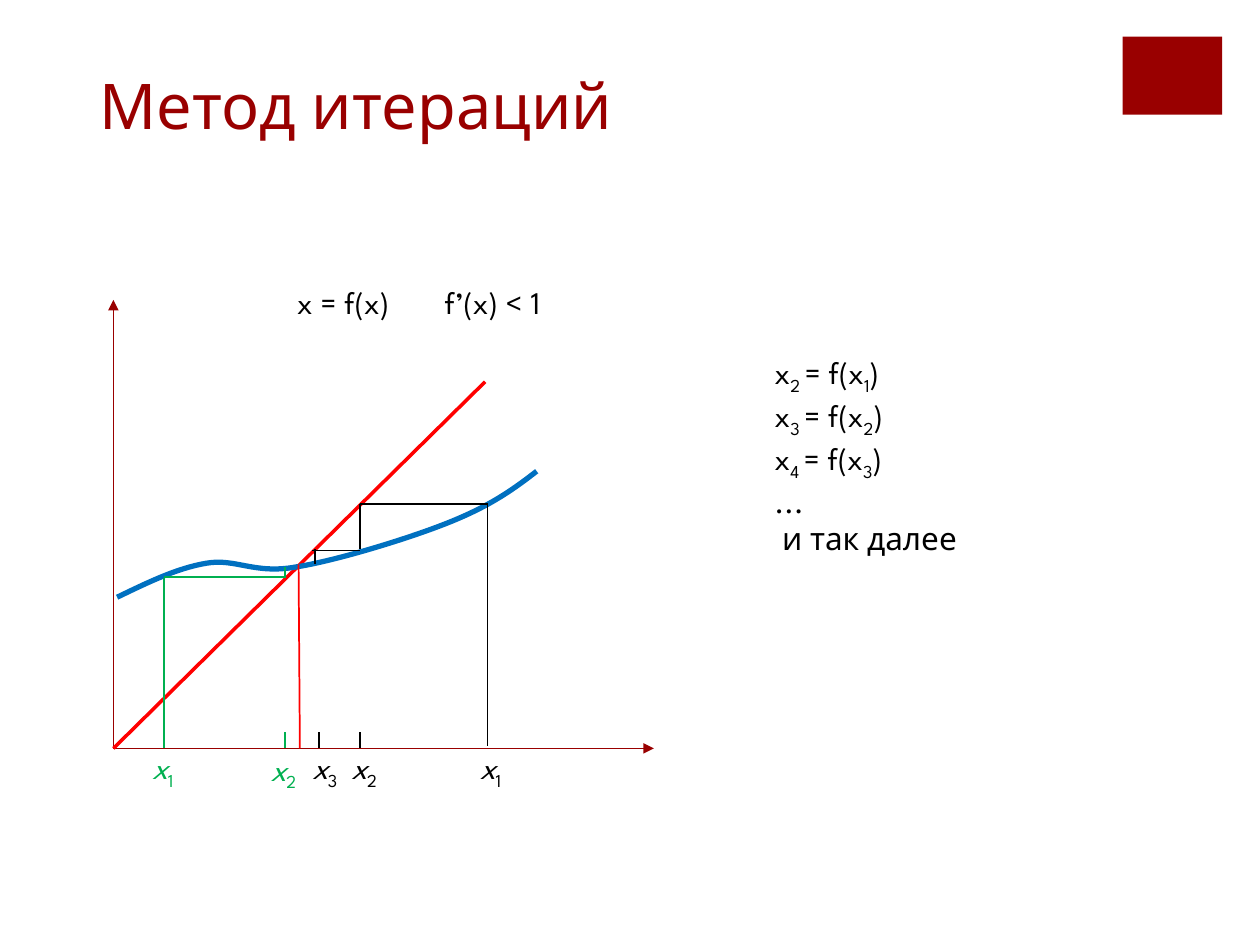
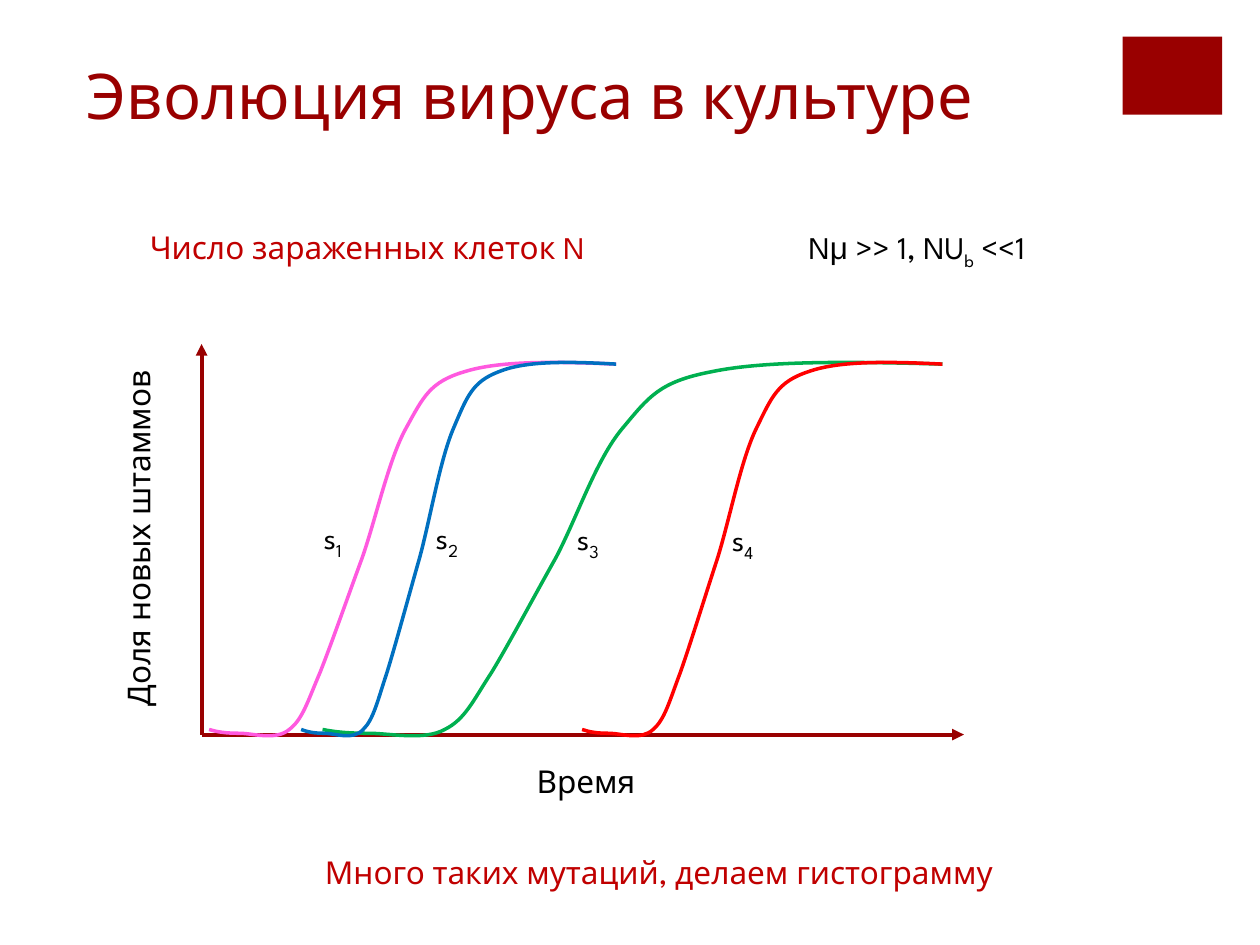
import pptx
import pptx.util
import pptx.dml.color
import pptx.enum.shapes
import pptx.enum.text
import pptx.oxml
import pptx.oxml.ns

Inches = pptx.util.Inches
Pt = pptx.util.Pt
RGBColor = pptx.dml.color.RGBColor
Anchor = pptx.enum.text.MSO_ANCHOR
Align = pptx.enum.text.PP_ALIGN
Fit = pptx.enum.text.MSO_AUTO_SIZE
Kind = pptx.enum.shapes
SPACE = pptx.oxml.ns.nsdecls("a")

DARK = RGBColor(0x99, 0x00, 0x00)
BRICK = RGBColor(0xC0, 0x00, 0x00)
RED = RGBColor(0xFF, 0x00, 0x00)
BLUE = RGBColor(0x00, 0x70, 0xC0)
GREEN = RGBColor(0x00, 0xB0, 0x50)
PINK = RGBColor(0xFF, 0x59, 0xDF)
BLACK = RGBColor(0x00, 0x00, 0x00)

FACE = "League Spartan"
HEAD = {"name": FACE, "size": Pt(36), "bold": False}
BODY = {"name": FACE, "size": Pt(18)}

WAVE = [(0.93, 4.74), (1.16, 4.63), (1.4, 4.51), (1.64, 4.47),
        (1.87, 4.43), (2.02, 4.56), (2.35, 4.5),
        (2.67, 4.45), (3.26, 4.27), (3.58, 4.14),
        (3.9, 4.01), (4.08, 3.88), (4.26, 3.74)]

RISE_SPAN = 4.92
RISE = [(0, 5.79), (0.1, 5.81), (0.2, 5.82), (0.37, 5.82),
        (0.53, 5.82), (0.81, 5.88), (0.97, 5.79),
        (1.13, 5.71), (1.19, 5.57), (1.34, 5.34),
        (1.48, 5.11), (1.67, 4.75), (1.85, 4.43),
        (2.02, 4.11), (2.17, 3.65), (2.38, 3.4),
        (2.59, 3.15), (2.67, 3.03), (3.09, 2.95),
        (3.52, 2.86), (4.22, 2.87), (4.92, 2.89)]


def style(font, form, color):
    for key, value in form.items():
        setattr(font, key, value)
    font.color.rgb = color


def brand(slide):
    block = slide.shapes.add_shape(
        Kind.MSO_SHAPE.RECTANGLE, Inches(8.91), Inches(0.29), Inches(0.79), Inches(0.62))
    block.shadow.inherit = False
    block.fill.solid()
    block.fill.fore_color.rgb = DARK
    block.line.fill.background()
    slide.slide_layout.shapes._spTree.append(block._element)


def start(deck, text, left, top, width):
    slide = deck.slides.add_slide(deck.slide_layouts[5])
    title = slide.shapes.title
    place = {"left": left, "top": top, "width": width, "height": 1.25}
    for key, value in place.items():
        setattr(title, key, Inches(value))
    frame = title.text_frame
    frame.text = text
    frame.vertical_anchor = Anchor.BOTTOM
    frame.auto_size = Fit.NONE
    para = frame.paragraphs[0]
    para.alignment = Align.LEFT
    style(para.runs[0].font, HEAD, DARK)
    return slide


def label(slide, lines, left, top, width, height=0.4, color=BLACK, slant=False, wrap=False):
    box = slide.shapes.add_textbox(Inches(left), Inches(top), Inches(width), Inches(height))
    frame = box.text_frame
    frame.word_wrap = wrap
    frame.auto_size = Fit.SHAPE_TO_FIT_TEXT
    for row, text in enumerate(lines.split("\n")):
        para = frame.add_paragraph() if row else frame.paragraphs[0]
        for place, part in enumerate(text.split("_")):
            if not part:
                continue
            run = para.add_run()
            run.text = part
            style(run.font, BODY, color)
            if part == "μ":
                run.font.name = "Arial"
            if place % 2:
                run.font._element.set("baseline", "-25000")
            elif slant:
                run.font.italic = True
    return box


def line(slide, x1, y1, x2, y2, color=BLACK, width=1, arrow=False):
    link = slide.shapes.add_connector(
        Kind.MSO_CONNECTOR.STRAIGHT, Inches(x1), Inches(y1), Inches(x2), Inches(y2))
    link.line.color.rgb = color
    link.line.width = Pt(width)
    if arrow:
        tail = pptx.oxml.parse_xml(f'<a:tailEnd {SPACE} type="triangle"/>')
        link.line._get_or_add_ln().append(tail)
    link._element.spPr.append(pptx.oxml.parse_xml(f"<a:effectLst {SPACE}/>"))


def axes(slide, left, base, top, right, width):
    line(slide, left, base, left, top, DARK, width, True)
    line(slide, left, base, right, base, DARK, width, True)


def curve(slide, knots, color, width):
    spots = [(Inches(x), Inches(y)) for x, y in knots]
    pen = slide.shapes.build_freeform(*spots[0])
    pen.add_line_segments(spots[3::3], close=False)
    shape = pen.convert_to_shape()
    parts = shape._element.findall(".//" + pptx.oxml.ns.qn("a:lnTo"))
    for n, part in enumerate(parts):
        bend = "".join(f'<a:pt x="{x - shape.left}" y="{y - shape.top}"/>'
                       for x, y in spots[3 * n + 1:3 * n + 4])
        part.getparent().replace(part, pptx.oxml.parse_xml(
            f"<a:cubicBezTo {SPACE}>{bend}</a:cubicBezTo>"))
    shape.shadow.inherit = False
    shape.fill.background()
    shape.line.color.rgb = color
    shape.line.width = Pt(width)


def method(deck):
    slide = start(deck, "Метод итераций", 0.69, -0.07, 7.12)
    brand(slide)
    base = 5.94
    axes(slide, 0.9, base, 2.38, 5.19, 0.75)
    line(slide, 0.9, base, 3.85, 3.03, RED, 2)
    curve(slide, WAVE, BLUE, 3)
    steps = [
        (3.87, 5.92, 3.87, 4.01, BLACK),
        (2.86, 4, 3.87, 4, BLACK),
        (2.86, 4, 2.86, 4.36, BLACK),
        (2.48, 4.37, 2.86, 4.37, BLACK),
        (2.5, 4.36, 2.5, 4.48, BLACK),
        (1.3, base, 1.3, 4.59, GREEN),
        (1.3, 4.58, 2.26, 4.58, GREEN),
        (2.26, 4.59, 2.26, 4.5, GREEN),
        (2.38, base, 2.37, 4.48, RED),
    ]
    for step in steps:
        line(slide, *step)
    for x, color in [(2.26, GREEN), (2.53, BLACK), (2.86, BLACK)]:
        line(slide, x, 5.81, x, base, color)
    marks = [("x_1", 3.71, 5.89, BLACK), ("x_2", 2.69, 5.89, BLACK),
             ("x_3", 2.38, 5.89, BLACK), ("x_1", 1.11, 5.89, GREEN),
             ("x_2", 2.05, 5.9, GREEN)]
    for text, left, top, color in marks:
        label(slide, text, left, top, 0.42, color=color, slant=True)
    rule = label(slide, "x = f(x)\tf’(x) < 1", 2.26, 2.2, 2.4)
    rule.text_frame.paragraphs[0]._p.get_or_add_pPr().append(pptx.oxml.parse_xml(
        f'<a:tabLst {SPACE}><a:tab pos="{Inches(1.17)}" algn="l"/></a:tabLst>'))
    rows = [f"x_{n + 1} _= f(x_{n}_)" for n in range(1, 4)]
    box = label(slide, "\n".join(rows + ["...", "и так далее"]), 6.05, 2.75, 1.76, 1.62)
    last = box.text_frame.paragraphs[-1]
    last._p.get_or_add_pPr().set("marL", str(Inches(0.06)))


def virus(deck):
    slide = start(deck, "Эволюция вируса в культуре", 0.59, -0.15, 8.08)
    axes(slide, 1.6, 5.83, 2.73, 7.65, 2.25)
    for left, span, color in [(1.66, 3.23, PINK), (2.56, 4.92, GREEN),
                              (2.39, 2.5, BLUE), (4.62, 2.86, RED)]:
        knots = [(left + x * span / RISE_SPAN, y) for x, y in RISE]
        curve(slide, knots, color, 2)
    label(slide, "Время", 4.16, 6, 1.02)
    side = label(slide, "Доля новых штаммов", -0.68, 3.73, 3.55, wrap=True)
    side.rotation = 270
    spots = [(2.47, 4.06), (3.36, 4.06), (4.48, 4.07), (5.71, 4.08)]
    for n, (left, top) in enumerate(spots, 1):
        label(slide, f"s_{n}", left, top, 0.39)
    label(slide, "Много таких мутаций, делаем гистограмму", 2.48, 6.72, 5.83, color=BRICK)
    label(slide, "N__μ__ >> 1, NU_b_ <<1", 6.32, 1.76, 2.31)
    label(slide, "Число зараженных клеток N", 1.09, 1.76, 3.75, color=BRICK)


def main():
    deck = pptx.Presentation()
    deck.slide_width = Inches(10)
    deck.slide_height = Inches(7.5)
    method(deck)
    virus(deck)
    deck.save("out.pptx")


if __name__ == "__main__":
    main()
